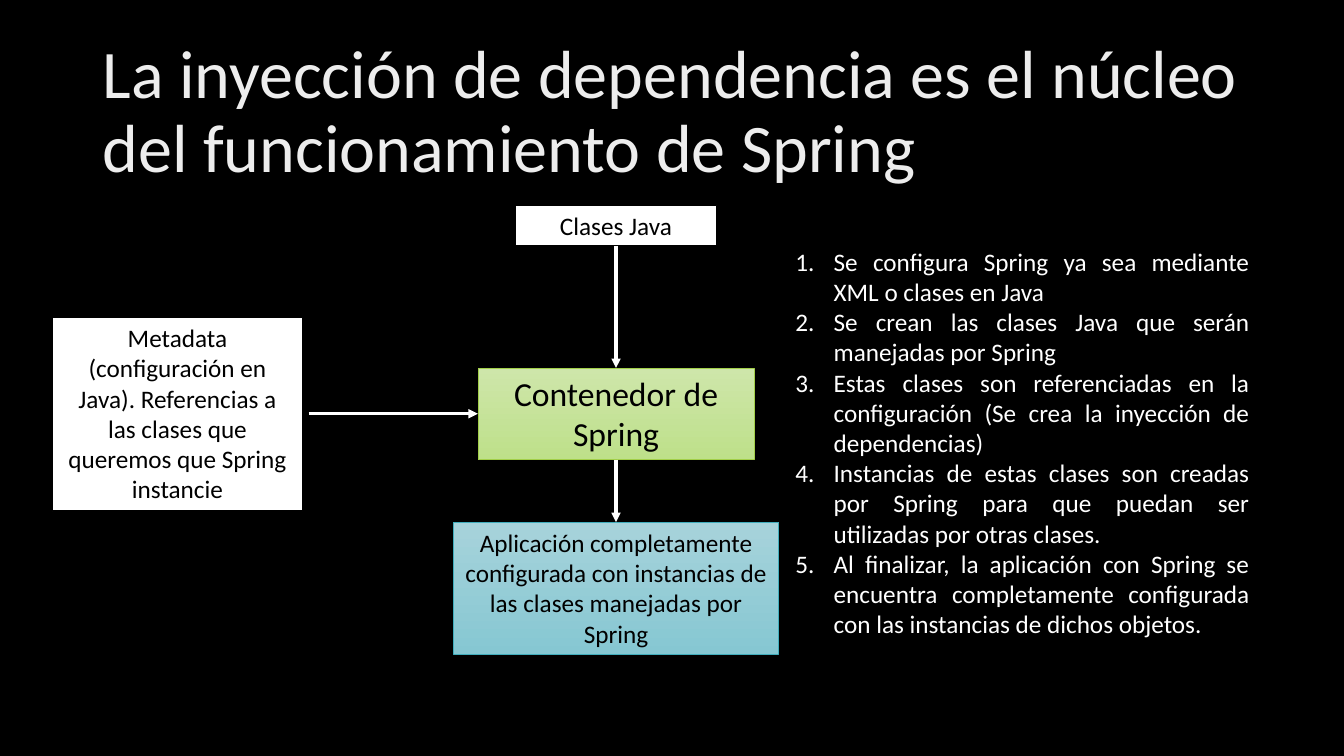
from lxml import etree
from pptx import Presentation
from pptx.dml.color import RGBColor
from pptx.enum.shapes import MSO_CONNECTOR as CONN, MSO_SHAPE as SHAPE
from pptx.enum.text import MSO_ANCHOR as ANCHOR, MSO_AUTO_SIZE as AUTO, PP_ALIGN as ALIGN
from pptx.oxml.ns import qn
from pptx.util import Inches, Pt

COLORS = {
    "black": "000000", "white": "FFFFFF", "title": "EDEDED",
    "green_top": "CEE6AA", "green_bottom": "BEE08A", "green_line": "A2CF49",
    "blue_top": "A7D3DB", "blue_bottom": "86C7D2", "blue_line": "41AEBD",
}
FONT = "Calibri"
TITLE = "La inyección de dependencia es el núcleo del funcionamiento de Spring"
STEPS = [
    "Se configura Spring ya sea mediante XML o clases en Java",
    "Se crean las clases Java que serán manejadas por Spring",
    "Estas clases son referenciadas en la configuración (Se crea la inyección de dependencias)",
    "Instancias de estas clases son creadas por Spring para que puedan ser utilizadas por otras clases.",
    "Al finalizar, la aplicación con Spring se encuentra completamente configurada con las "
    "instancias de dichos objetos.",
]
AXIS = 6.11  # centre of the vertical flow
PLAIN = {"fill": ["white"], "line": "black", "weight": 1, "size": 18}
GREEN = {"fill": ["green_top", "green_bottom"], "line": "green_line", "weight": 0.5, "size": 24}
BLUE = {"fill": ["blue_top", "blue_bottom"], "line": "blue_line", "weight": 0.5, "size": 18}
# name: (text, centre x, top, width, height, style)
BOXES = {
    "container": ("Contenedor de Spring", AXIS, 3.65, 2.74, 0.91, GREEN),
    "metadata": ("Metadata (configuración en Java). Referencias a las clases que queremos "
                 "que Spring instancie", 1.76, 3.15, 2.48, 1.92, PLAIN),
    "classes": ("Clases Java", AXIS, 2.04, 2, 0.4, PLAIN),
    "application": ("Aplicación completamente configurada con instancias de las clases "
                    "manejadas por Spring", AXIS, 5.18, 3.23, 1.31, BLUE),
}
FLOW = ["classes", "container", "application"]
METADATA_GAP = 0.06
TOP, LEFT, BOTTOM = 0, 1, 2  # connection sites of a rectangle


def rgb(name):
    """Return a palette colour."""
    return RGBColor.from_string(COLORS[name])


def write(sp, lines, size, color, frame=None, para=None):
    """Put one paragraph per line into a shape."""
    tf = sp.text_frame
    for key, value in {"word_wrap": True, "vertical_anchor": ANCHOR.TOP, **(frame or {})}.items():
        setattr(tf, key, value)
    for i, line in enumerate(lines):
        p = tf.paragraphs[0] if i == 0 else tf.add_paragraph()
        for key, value in (para or {}).items():
            setattr(p, key, value)
        r = p.add_run()
        r.text = line
        for key, value in {"name": FONT, "size": Pt(size)}.items():
            setattr(r.font, key, value)
        r.font.color.rgb = rgb(color)
    return tf


def add_box(s, text, center, top, width, height, style):
    """Draw a box of the diagram around its centre line."""
    sp = s.shapes.add_shape(SHAPE.RECTANGLE, Inches(center - width / 2), Inches(top),
                            Inches(width), Inches(height))
    sp.shadow.inherit = False
    if len(style["fill"]) == 1:
        sp.fill.solid()
        sp.fill.fore_color.rgb = rgb(style["fill"][0])
    else:
        sp.fill.gradient()
        sp.fill.gradient_angle = 270
        for stop, name in zip(sp.fill.gradient_stops, style["fill"]):
            stop.color.rgb = rgb(name)
    sp.line.color.rgb = rgb(style["line"])
    sp.line.width = Pt(style["weight"])
    write(sp, [text], style["size"], "black", {"auto_size": AUTO.SHAPE_TO_FIT_TEXT},
          {"alignment": ALIGN.CENTER})
    return sp


def add_arrow(s, x, y, target, site):
    """Draw an arrow from a point to a connection site of a box."""
    c = s.shapes.add_connector(CONN.STRAIGHT, x, y, x, y)
    c.end_connect(target, site)
    c.line.color.rgb = rgb("white")
    c.line.width = Pt(2.25)
    etree.SubElement(c.line._get_or_add_ln(), qn("a:tailEnd"), type="triangle")
    etree.SubElement(c._element.spPr, qn("a:effectLst"))
    return c


def add_text(s, left, top, width, height):
    """Add an empty text box."""
    return s.shapes.add_textbox(Inches(left), Inches(top), Inches(width), Inches(height))


prs = Presentation()
prs.slide_width, prs.slide_height = Inches(13.33), Inches(7.5)
s = prs.slides.add_slide(prs.slide_layouts[6])
s.background.fill.solid()
s.background.fill.fore_color.rgb = rgb("black")

write(add_text(s, 0.92, 0.4, 11.5, 1.45), [TITLE], 48.6, "title",
      {"vertical_anchor": ANCHOR.MIDDLE}, {"line_spacing": 0.9})

boxes = {name: add_box(s, *values) for name, values in BOXES.items()}
for start, end in zip(FLOW, FLOW[1:]):
    box = boxes[start]
    arrow = add_arrow(s, Inches(AXIS), box.top + box.height, boxes[end], TOP)
    arrow.begin_connect(box, BOTTOM)
metadata, container = boxes["metadata"], boxes["container"]
add_arrow(s, metadata.left + metadata.width + Inches(METADATA_GAP),
          container.top + container.height // 2, container, LEFT)

steps = write(add_text(s, 7.79, 2.39, 4.7, 4.04), STEPS, 18, "white",
              {"auto_size": AUTO.SHAPE_TO_FIT_TEXT}, {"alignment": ALIGN.JUSTIFY})
indent = Inches(0.38)
for p in steps.paragraphs:
    pPr = p._p.get_or_add_pPr()
    pPr.set("marL", str(indent))
    pPr.set("indent", str(-indent))
    etree.SubElement(pPr, qn("a:buFont"), typeface="+mj-lt")
    etree.SubElement(pPr, qn("a:buAutoNum"), type="arabicPeriod")

prs.save("out.pptx")
